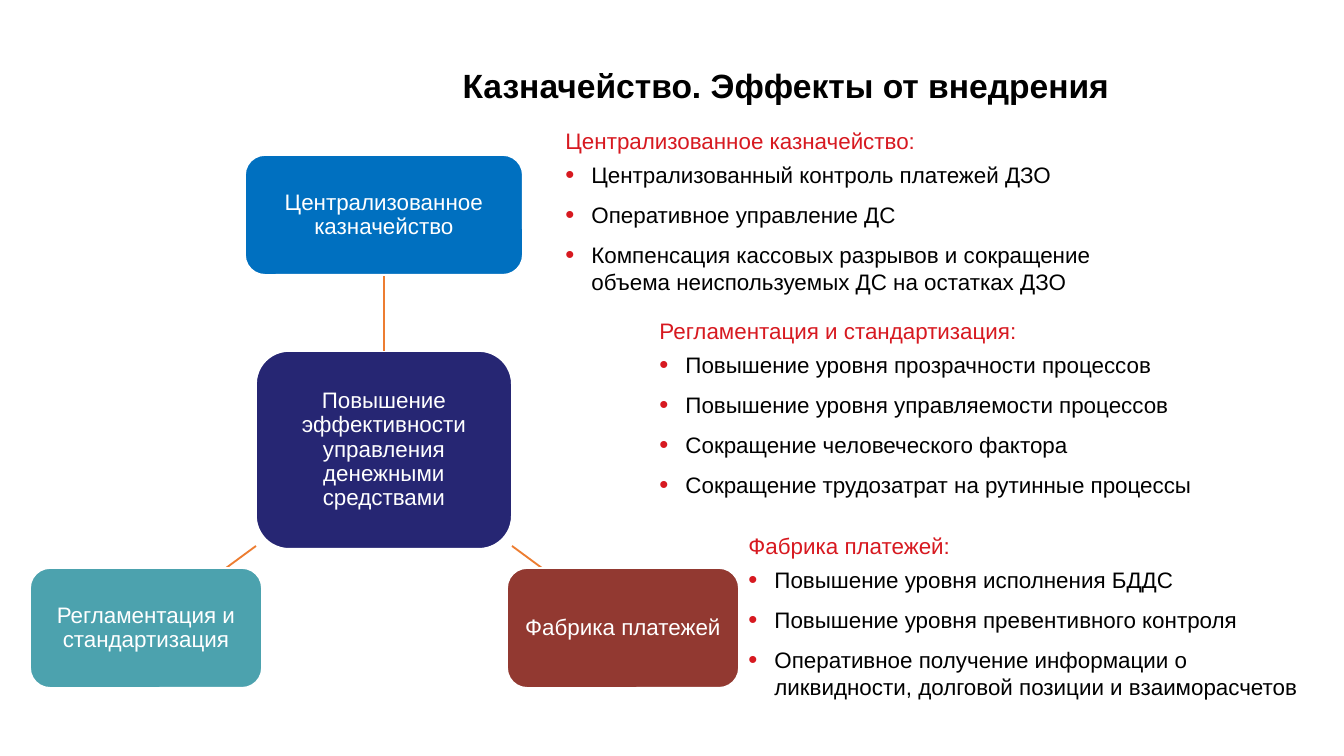
from lxml import etree
from pptx import Presentation
from pptx import util as u
from pptx.dml.color import RGBColor
from pptx.enum import shapes, text
from pptx.oxml.ns import qn

PX = 914400 / 134.4  # EMU in one px
FONT = "Arial"
BLACK = RGBColor(0x00, 0x00, 0x00)
WHITE = RGBColor(0xFF, 0xFF, 0xFF)
RED = RGBColor(0xD7, 0x19, 0x20)
ORANGE = RGBColor(0xED, 0x7D, 0x31)
NAVY = RGBColor(0x26, 0x26, 0x73)
BLUE = RGBColor(0x00, 0x70, 0xC0)
MAROON = RGBColor(0x92, 0x39, 0x31)
TEAL = RGBColor(0x4C, 0xA2, 0xAE)

HUB = ("Повышение эффективности управления денежными средствами",
       NAVY, (256, 351, 256, 198))

# Branch box: label, colour, place; then the ends of its line from the hub
BRANCHES = [
    (("Централизованное казначейство", BLUE, (245, 155, 278, 120)),
     (384, 351, 384, 275)),
    (("Фабрика платежей", MAROON, (507, 568, 232, 120)),
     (512, 546, 550, 574)),
    (("Регламентация и стандартизация", TEAL, (30, 568, 232, 120)),
     (256, 546, 218, 574)),
]

EFFECTS = [
    ("Централизованное казначейство:", (552, 120, 591, 183),
     ["Централизованный контроль платежей ДЗО",
      "Оперативное управление ДС",
      "Компенсация кассовых разрывов и сокращение "
      "объема неиспользуемых ДС на остатках ДЗО"]),
    ("Регламентация и стандартизация:", (646, 310, 694, 202),
     ["Повышение уровня прозрачности процессов",
      "Повышение уровня управляемости процессов",
      "Сокращение человеческого фактора",
      "Сокращение трудозатрат на рутинные процессы"]),
    ("Фабрика платежей:", (735, 525, 581, 183),
     ["Повышение уровня исполнения БДДС",
      "Повышение уровня превентивного контроля",
      "Оперативное получение информации о "
      "ликвидности, долговой позиции и взаиморасчетов"]),
]


def px(length):
    return u.Emu(round(length * PX))


def place(shape, box):
    shape.left, shape.top, shape.width, shape.height = map(px, box)


def set_font(paragraph, size, color, bold=False):
    font = paragraph.font
    font.name, font.size, font.bold = FONT, u.Pt(size), bold
    font.color.rgb = color


def set_bullet(paragraph):
    """Give the paragraph a hanging red bullet, or none when it is a heading."""
    props = paragraph._p.get_or_add_pPr()
    props.set("marL", str(px(26)))
    props.set("indent", str(-px(26)))
    color = etree.SubElement(props, qn("a:buClr"))
    etree.SubElement(color, qn("a:srgbClr"), val=str(RED))
    etree.SubElement(props, qn("a:buSzPct"), val="115000")
    etree.SubElement(props, qn("a:buFont"), typeface=FONT)
    etree.SubElement(props, qn("a:buChar"), char="•")
    tabs = etree.SubElement(props, qn("a:tabLst"))
    etree.SubElement(tabs, qn("a:tab"), pos=str(px(35)), algn="l")


def clear_bullet(paragraph):
    props = paragraph._p.get_or_add_pPr()
    props.set("marL", "0")
    props.set("indent", "0")
    etree.SubElement(props, qn("a:buNone"))


def fill_title(title, wording):
    place(title, (258, 28, 1056, 114))
    frame = title.text_frame
    frame.text = wording
    frame.auto_size = text.MSO_AUTO_SIZE.NONE
    frame.vertical_anchor = text.MSO_ANCHOR.MIDDLE
    heading = frame.paragraphs[0]
    heading.alignment = text.PP_ALIGN.CENTER
    set_font(heading, 18, BLACK, bold=True)


def fill_effects(body, heading, box, effects):
    place(body, box)
    frame = body.text_frame
    frame.text = "\n".join([heading, *effects])
    frame.word_wrap = True
    frame.auto_size = text.MSO_AUTO_SIZE.NONE
    frame.vertical_anchor = text.MSO_ANCHOR.TOP
    first, *items = frame.paragraphs
    clear_bullet(first)
    first.space_before = u.Pt(0)
    set_font(first, 12, RED)
    for item in items:
        set_bullet(item)
        item.space_before, item.space_after = u.Pt(4), u.Pt(3)
        set_font(item, 12, BLACK)


def add_box(slide, label, color, box):
    node = slide.shapes.add_shape(
        shapes.MSO_SHAPE.ROUNDED_RECTANGLE, *map(px, box))
    node.shadow.inherit = False
    node.fill.solid()
    node.fill.fore_color.rgb = color
    node.line.color.rgb = WHITE
    node.line.width = u.Pt(1)
    frame = node.text_frame
    frame.text = label
    frame.word_wrap = True
    frame.vertical_anchor = text.MSO_ANCHOR.MIDDLE
    frame.margin_left = frame.margin_right = px(10)
    frame.margin_top = frame.margin_bottom = px(10)
    caption = frame.paragraphs[0]
    caption.alignment = text.PP_ALIGN.CENTER
    caption.line_spacing = 0.9
    set_font(caption, 12, WHITE)


def add_link(slide, ends):
    link = slide.shapes.add_connector(
        shapes.MSO_CONNECTOR.STRAIGHT, *map(px, ends))
    link.line.color.rgb = ORANGE
    link.line.width = u.Pt(1)
    etree.SubElement(link._element.spPr, qn("a:effectLst"))


def main():
    deck = Presentation()
    deck.slide_width, deck.slide_height = px(1344), px(756)
    comparison = deck.slide_layouts.get_by_name("Comparison")
    slide = deck.slides.add_slide(comparison)

    add_box(slide, *HUB)
    for branch, ends in BRANCHES:
        add_link(slide, ends)
        add_box(slide, *branch)

    title, *bodies = slide.placeholders
    fill_title(title, "Казначейство. Эффекты от внедрения")
    for body, effects in zip(bodies, EFFECTS):
        fill_effects(body, *effects)
    for spare in bodies[len(EFFECTS):]:
        spare._element.getparent().remove(spare._element)

    deck.save("out.pptx")


if __name__ == "__main__":
    main()
